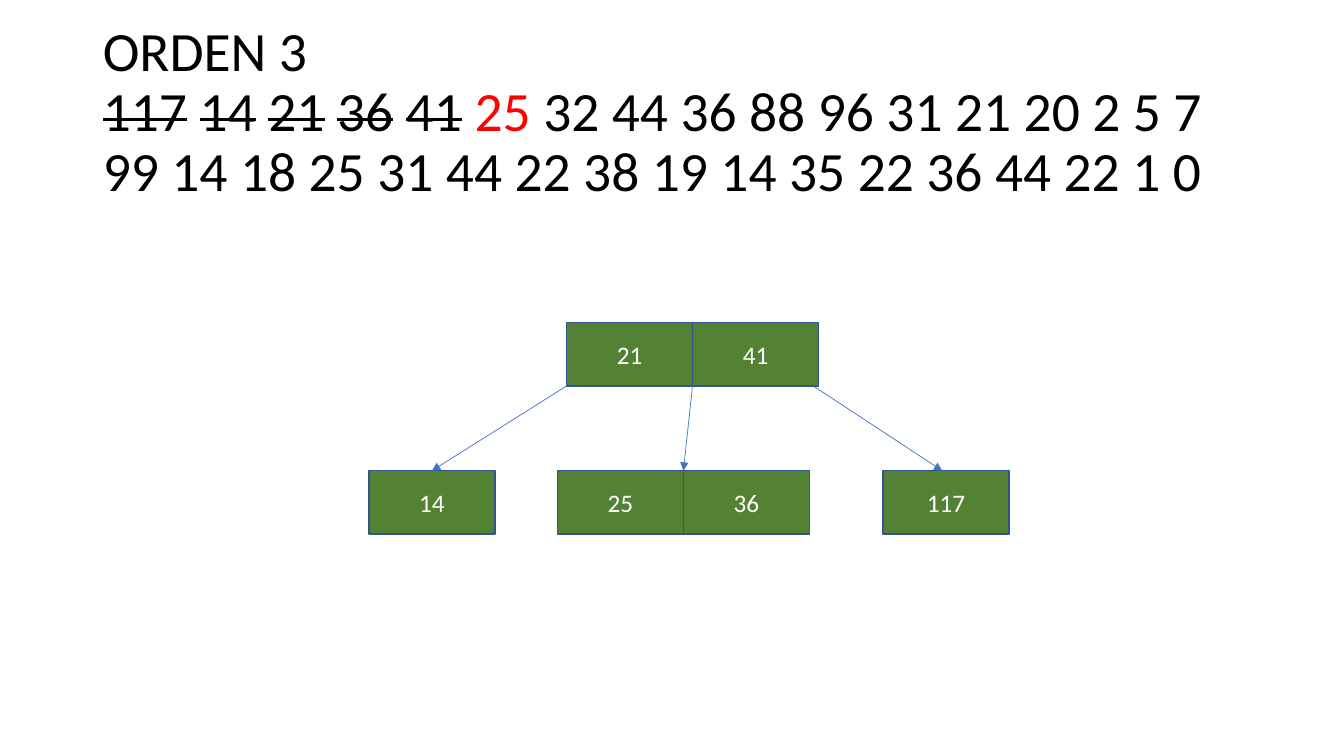
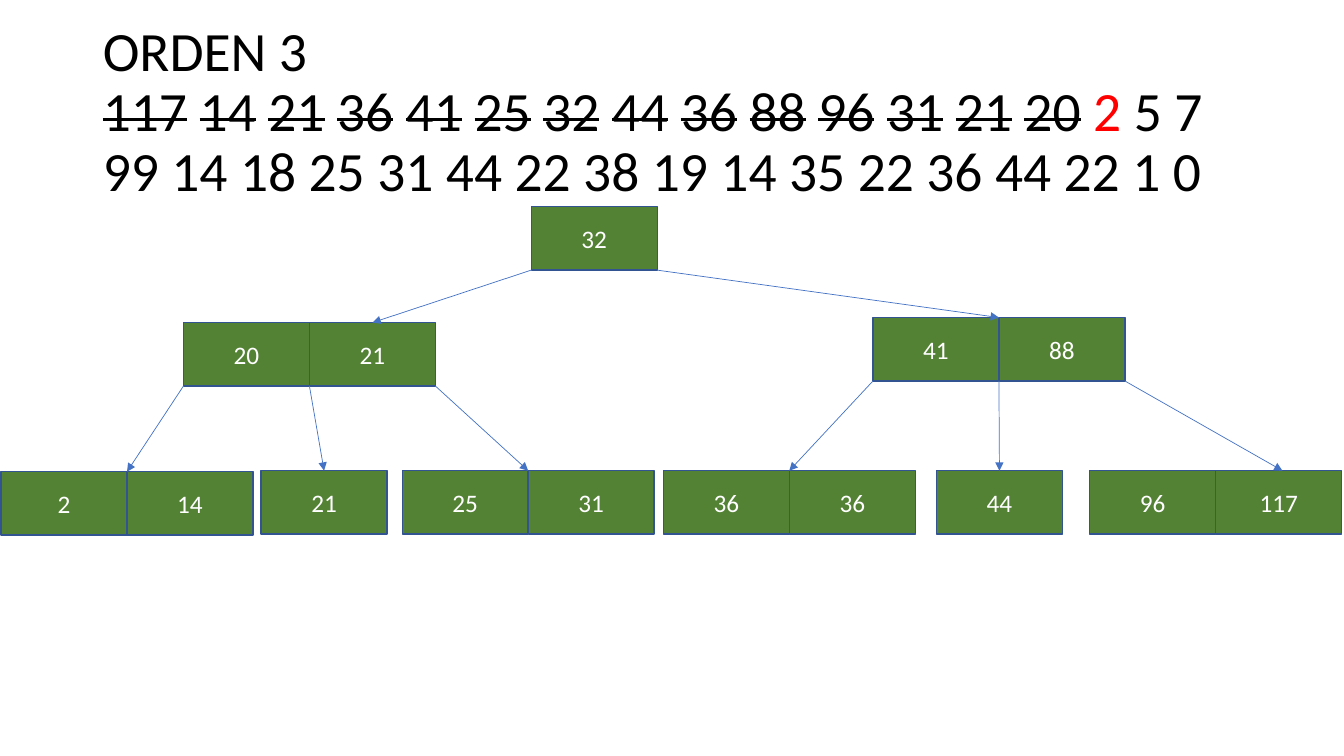
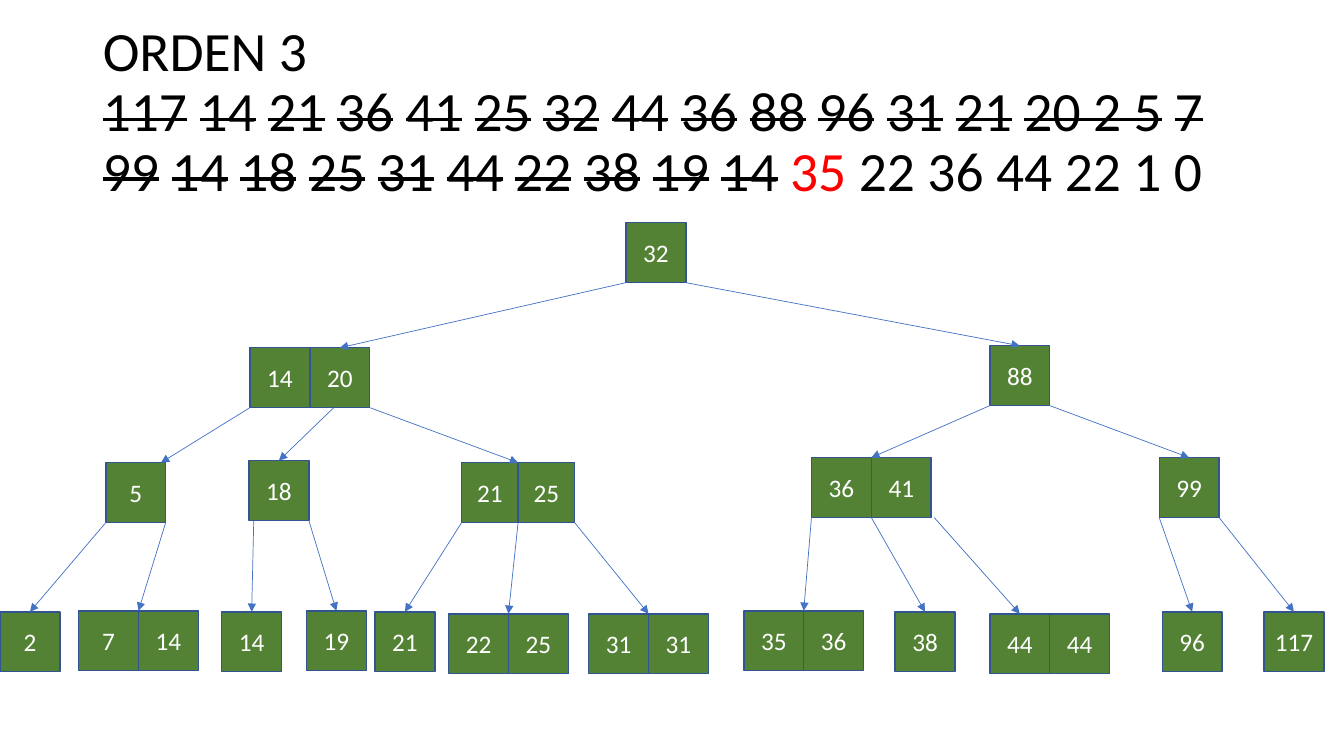
from dataclasses import dataclass

from lxml.etree import SubElement as add_sub
from pptx import Presentation
from pptx.dml.color import RGBColor as Rgb
from pptx.enum.shapes import MSO_CONNECTOR as Line, MSO_SHAPE as Shape
from pptx.enum.text import MSO_ANCHOR as Anchor, MSO_AUTO_SIZE as Fit, PP_ALIGN as Align
from pptx.oxml.ns import qn
from pptx.slide import Slide
from pptx.text.text import _Paragraph as Para
from pptx.util import Inches, Pt


@dataclass(frozen=True)
class Theme:
    font: str = "Calibri"
    ink: Rgb = Rgb(0, 0, 0)
    mark: Rgb = Rgb(0xFF, 0, 0)
    fill: Rgb = Rgb(0x54, 0x82, 0x35)
    edge: Rgb = Rgb(0x32, 0x54, 0x91)
    arrow: Rgb = Rgb(0x44, 0x72, 0xC4)
    light: Rgb = Rgb(0xFF, 0xFF, 0xFF)
    head: float = 39.6
    key: float = 18


@dataclass(frozen=True)
class Node:
    """A row of keys; port and hit place the arrow's ends, counted in cells."""
    keys: str
    x: float
    y: float
    kids: tuple["Node", ...] = ()
    port: float | None = None
    hit: float | None = None
    wide: float | None = None


@dataclass(frozen=True)
class Step:
    """The first `done` numbers are struck; `joined` lists the struck gaps."""
    done: int
    wide: float
    high: float
    root: Node
    joined: tuple[int, ...] = ()


THEME = Theme()
COLS, ROWS = 133.33, 75  # grid of tenth-inch squares
HEAD = (9.2, 4, 115, 14.5)
NUMS = ("117 14 21 36 41 25 32 44 36 88 96 31 21 20 2 5 7 99 14 18 25 31 "
        "44 22 38 19 14 35 22 36 44 22 1 0").split()


def grid(num: float) -> int:
    return Inches(num / 10)


# Text
def add_run(para: Para, text: str, size: float, color: Rgb, struck: bool = False) -> None:
    run = para.add_run()
    run.text = text
    run.font.name, run.font.size = THEME.font, Pt(size)
    run.font.color.rgb = color
    if struck:
        run._r.get_or_add_rPr().set("strike", "sngStrike")


def add_head(slide: Slide, step: Step) -> None:
    head = slide.shapes.title
    head.left, head.top, head.width, head.height = map(grid, HEAD)
    frame = head.text_frame
    frame.auto_size, frame.word_wrap = Fit.NONE, True
    frame.vertical_anchor = Anchor.MIDDLE
    para = frame.paragraphs[0]
    para.alignment, para.line_spacing = Align.LEFT, 0.9
    add_run(para, "ORDEN 3 ", THEME.head, THEME.ink)
    para.add_line_break()
    for i, num in enumerate(NUMS[:step.done]):
        add_run(para, num, THEME.head, THEME.ink, True)
        add_run(para, " ", THEME.head, THEME.ink, i in step.joined)
    add_run(para, NUMS[step.done], THEME.head, THEME.mark)
    rest = " ".join(NUMS[step.done + 1:])
    add_run(para, f" {rest} ", THEME.head, THEME.ink)


# Tree parts
def add_cell(slide: Slide, key: str, x: float, y: float, wide: float, high: float) -> None:
    cell = slide.shapes.add_shape(Shape.RECTANGLE, *map(grid, (x, y, wide, high)))
    cell.shadow.inherit = False
    cell.fill.solid()
    cell.fill.fore_color.rgb = THEME.fill
    cell.line.color.rgb, cell.line.width = THEME.edge, Pt(1)
    frame = cell.text_frame
    frame.word_wrap, frame.vertical_anchor = False, Anchor.MIDDLE
    para = frame.paragraphs[0]
    para.alignment = Align.CENTER
    add_run(para, key, THEME.key, THEME.light)


def add_arrow(slide: Slide, *ends: float) -> None:
    arrow = slide.shapes.add_connector(Line.STRAIGHT, *map(grid, ends))
    arrow.line.color.rgb, arrow.line.width = THEME.arrow, Pt(0.5)
    add_sub(arrow.line._get_or_add_ln(), qn("a:tailEnd"), type="triangle")
    add_sub(arrow._element.spPr, qn("a:effectLst"))


def add_tree(slide: Slide, node: Node, step: Step) -> None:
    keys = node.keys.split()
    wide = node.wide or step.wide
    for i, key in enumerate(keys):
        add_cell(slide, key, node.x + i * wide, node.y, wide, step.high)
    for i, kid in enumerate(node.kids):
        add_tree(slide, kid, step)
        # Arrows leave at equal gaps and land mid-child unless set
        port = i * len(keys) / (len(node.kids) - 1) if kid.port is None else kid.port
        hit = len(kid.keys.split()) / 2 if kid.hit is None else kid.hit
        add_arrow(slide, node.x + port * wide, node.y + step.high,
                  kid.x + hit * (kid.wide or step.wide), kid.y)


# Steps of the tree
STEPS = (
    Step(5, 12.5, 6.3, Node("21 41", 56.2, 32, (
        Node("14", 36.6, 46.7),
        Node("25 36", 55.3, 46.7),
        Node("117", 87.6, 46.7, port=1.96, hit=0.47)))),
    Step(14, 12.5, 6.3, Node("32", 52.7, 20.5, (
        Node("20 21", 18.2, 32, (
            Node("2 14", 0.1, 46.8),
            Node("21", 25.9, 46.7),
            Node("25 31", 39.9, 46.7)), hit=1.5),
        Node("41 88", 86.6, 31.5, (
            Node("36 36", 65.8, 46.7),
            Node("44", 92.9, 46.7),
            Node("96 117", 108.1, 46.7, hit=1.53)))))),
    Step(27, 5.94, 5.94, Node("32", 62.1, 22.1, (
        Node("14 20", 24.8, 34.5, (
            Node("5", 10.5, 45.9, (
                Node("2", 0, 60.7),
                Node("7 14", 7.8, 60.6)), hit=0.92),
            Node("18", 24.7, 45.7, (
                Node("14", 22, 60.7, port=0.08),
                Node("19", 30.4, 60.6)), port=1.4),
            Node("21 25", 45.8, 45.9, (
                Node("21", 37.2, 60.7),
                Node("22 25", 44.5, 60.9),
                Node("31 31", 58.4, 60.9)), wide=5.6)), hit=1.5),
        Node("88", 98.2, 34.3, (
            Node("36 41", 80.5, 45.4, (
                Node("35 36", 73.8, 60.6),
                Node("38", 88.8, 60.7),
                Node("44 44", 98.2, 60.9, port=2.05, hit=0.5))),
            Node("99", 115, 45.4, (
                Node("96", 115.3, 60.7),
                Node("117", 125.4, 60.7))))))), (13, 14)),
)

deck = Presentation()
deck.slide_width, deck.slide_height = grid(COLS), grid(ROWS)
for step in STEPS:
    slide = deck.slides.add_slide(deck.slide_layouts[5])
    add_head(slide, step)
    add_tree(slide, step.root, step)
deck.save("out.pptx")
